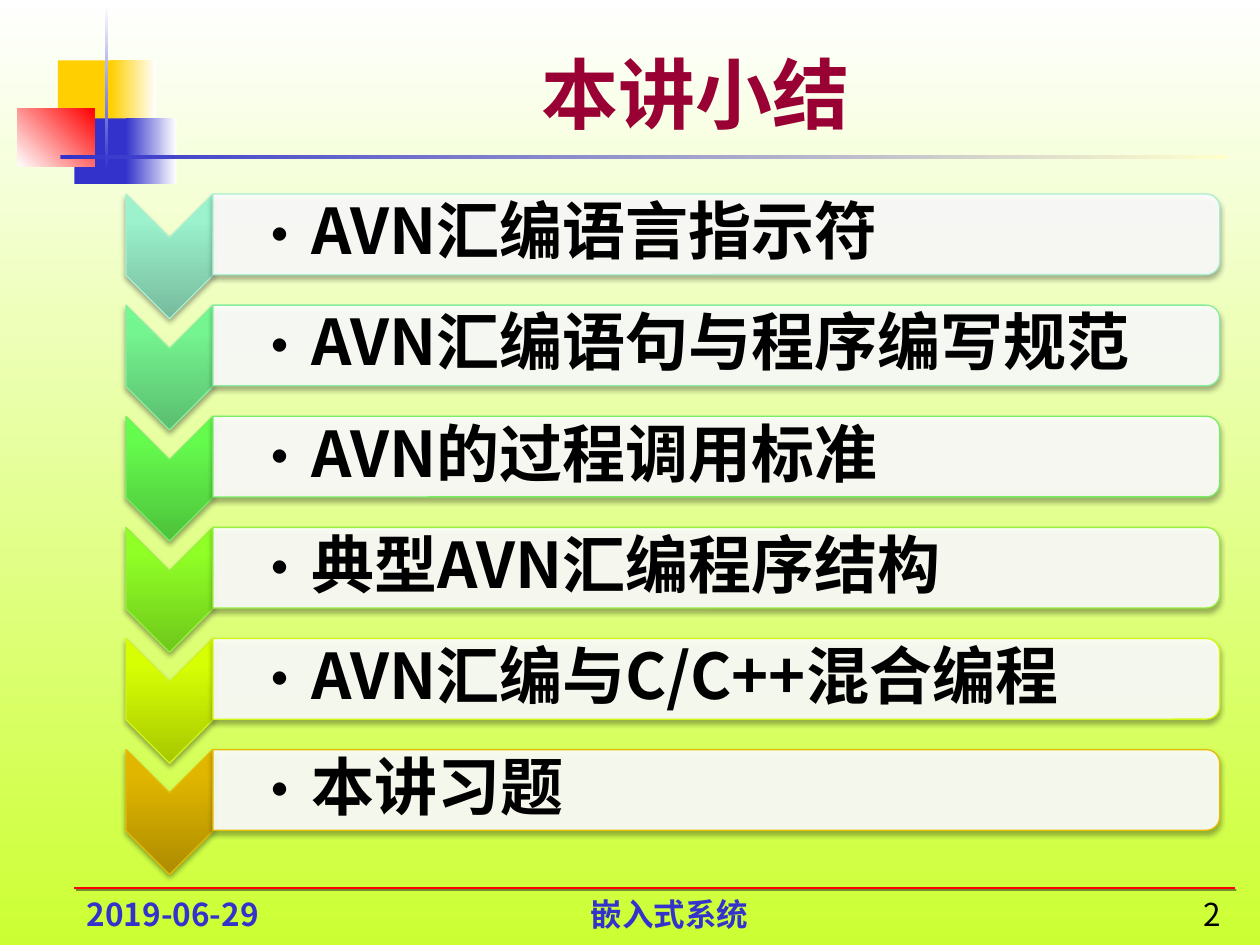
import copy

import pptx
import pptx.dml.color
import pptx.enum.shapes
import pptx.enum.text
import pptx.oxml
import pptx.oxml.ns
import pptx.util

Inches = pptx.util.Inches
Pt = pptx.util.Pt
SHAPES = pptx.enum.shapes.MSO_SHAPE
ALIGN = pptx.enum.text.PP_ALIGN
ANCHOR = pptx.enum.text.MSO_ANCHOR
FONT = "Noto Sans CJK SC"
COLORS = {
    "white": "FFFFFF", "lime": "CCFF33", "gold": "FFCF01", "blue": "3333CC",
    "red": "FF0000", "cream": "FFFFCC", "title": "990033", "black": "000000",
    "charcoal": "1C1C1C",
}
TOPICS = [
    ("AVN汇编语言指示符", ("77BA9D", "9BF2CC", "9AF4CD"), "AAEFD1"),
    ("AVN汇编语句与程序编写规范", ("5ABD6F", "75F590", "73F990"), "88EE9E"),
    ("AVN的过程调用标准", ("4DC13B", "65FB4D", "63FF4A"), "77EE64"),
    ("典型AVN汇编程序结构", ("6FC81A", "90FF26", "91FF28"), "95F13D"),
    ("AVN汇编与C/C++混合编程", ("A8C800", "D7FF04", "D7FF05"), "D2F615"),
    ("本讲习题", ("AD8C00", "E1B600", "E2B700"), "E7BB01"),
]


def rgb(value):
    """Turn a hex string into a colour."""
    return pptx.dml.color.RGBColor.from_string(value)


def element(markup):
    """Parse one drawing element, given without its namespace."""
    name, rest = markup.split(" ", 1)
    return pptx.oxml.parse_xml(f"<a:{name} {pptx.oxml.ns.nsdecls('a')} {rest}")


def paint_gradient(fill, stops, clockwise):
    """Fill with (position, hex) stops running at a clockwise angle."""
    fill.gradient()
    fill.gradient_angle = (360 - clockwise) % 360
    first = fill.gradient_stops[0]._gs
    for _ in stops[2:]:
        first.addnext(copy.deepcopy(first))
    for stop, (position, color) in zip(fill.gradient_stops, stops):
        stop.position = position
        stop.color.rgb = rgb(color)


def cast_shadow(shape, color, alpha, blur, distance, angle):
    """Give a shape or connector an outer shadow."""
    shape._element.spPr.append(element(
        f'effectLst ><a:outerShdw blurRad="{Pt(blur)}" dist="{Pt(distance)}" '
        f'dir="{angle * 60000}" algn="ctr" rotWithShape="0"><a:srgbClr val="{color}">'
        f'<a:alpha val="{alpha * 1000}"/></a:srgbClr></a:outerShdw></a:effectLst>'))


def write(frame, text, size=18, color="black", bold=True, font=FONT,
          align=None, anchor=ANCHOR.BOTTOM, bullet=False):
    """Write one formatted paragraph into a text frame and return it."""
    frame.word_wrap = True
    frame.auto_size = pptx.enum.text.MSO_AUTO_SIZE.NONE
    frame.vertical_anchor = anchor
    para = frame.paragraphs[0]
    para.alignment = align
    if bullet:
        props = para._p.get_or_add_pPr()
        props.set("marL", str(Inches(0.31)))
        props.set("indent", str(Inches(-0.31)))
        props.append(element(f'buFont typeface="{FONT}"/>'))
        props.append(element('buChar char="•"/>'))
    span = para.add_run()
    span.text = text
    span.font.size = Pt(size)
    span.font.bold = bold
    span.font.name = font
    span.font.color.rgb = rgb(COLORS[color])
    span.font._element.find(pptx.oxml.ns.qn("a:latin")).addnext(
        element(f'ea typeface="{FONT}"/>'))
    return para


def add_emblem(page, left, top):
    """Draw the overlapping squares and the crossing bars."""
    pieces = [
        (0.32, 0.44, 0.48, 0.52, "gold", None, 0),
        (0.74, 0.44, 0.36, 0.52, "gold", "white", 0),
        (0.45, 0.9, 0.46, 0.52, "blue", None, 0),
        (0.86, 0.9, 0.4, 0.52, "blue", "white", 0),
        (0, 0.82, 0.61, 0.46, "white", "red", 315),
        (0.69, 0, 0.03, 1.31, "white", "blue", 90),
        (0.34, 1.19, 9.27, 0.03, "blue", "cream", 0),
    ]
    for x, y, width, height, start, end, angle in pieces:
        piece = page.shapes.add_shape(
            SHAPES.RECTANGLE, Inches(left + x), Inches(top + y), Inches(width), Inches(height))
        piece.shadow.inherit = False
        piece.line.fill.background()
        if end:
            paint_gradient(piece.fill, [(0, COLORS[start]), (1, COLORS[end])], angle)
        else:
            piece.fill.solid()
            piece.fill.fore_color.rgb = rgb(COLORS[start])


def add_title(page, left, top, width, height):
    """Place the title in its placeholder."""
    title = page.shapes.title
    title.left, title.top = Inches(left), Inches(top)
    title.width, title.height = Inches(width), Inches(height)
    write(title.text_frame, "本讲小结", size=44, color="title", font="Montserrat",
          align=ALIGN.CENTER)


def add_footer(page, left, top, width):
    """Draw the footer rule with date, course and page number."""
    rule = page.shapes.add_connector(
        pptx.enum.shapes.MSO_CONNECTOR.STRAIGHT, Inches(left), Inches(top + 0.1),
        Inches(left + width), Inches(top + 0.1))
    rule.line.color.rgb = rgb(COLORS["red"])
    rule.line.width = Pt(1)
    cast_shadow(rule, COLORS["charcoal"], 50, 0, 1.4, 45)
    entries = [
        (0, 1.79, "2019-06-29", "blue", True, ALIGN.LEFT),
        (2.68, 4.09, "嵌入式系统", "blue", True, ALIGN.CENTER),
        (width - 0.97, 0.96, "2", "black", False, ALIGN.RIGHT),
    ]
    for x, span, text, color, bold, align in entries:
        box = page.shapes.add_textbox(
            Inches(left + x), Inches(top), Inches(span), Inches(0.5))
        write(box.text_frame, text, color=color, bold=bold, align=align)


def add_turned(group, kind, left, top, width, height, edge):
    """Add a shape turned a quarter clockwise that fills the given box."""
    shape = group.shapes.add_shape(
        kind, Inches(left + (width - height) / 2), Inches(top + (height - width) / 2),
        Inches(height), Inches(width))
    shape.rotation = 90
    shape.line.color.rgb = rgb(edge)
    shape.line.width = Pt(0.75)
    cast_shadow(shape, COLORS["black"], 35, 3.1, 1.8, 90)
    return shape


def add_topic(group, left, top, width, text, shades, edge):
    """Draw one topic row: chevron, rounded bar and bulleted text."""
    arrow_width, arrow_height, bar_height = 0.69, 0.99, 0.64
    chevron = add_turned(group, SHAPES.CHEVRON, left, top, arrow_width, arrow_height, edge)
    paint_gradient(chevron.fill, list(zip((0, 0.8, 1), shades)), 180)

    bar_left, bar_width = left + arrow_width, width - arrow_width
    bar = add_turned(group, SHAPES.ROUND_2_SAME_RECTANGLE, bar_left, top,
                     bar_width, bar_height, edge)
    bar.fill.solid()
    bar.fill.fore_color.rgb = rgb(COLORS["white"])
    bar._element.spPr.find(pptx.oxml.ns.qn("a:solidFill"))[0].append(
        element('alpha val="90000"/>'))

    box = group.shapes.add_textbox(
        Inches(bar_left), Inches(top + 0.03), Inches(bar_width - 0.03), Inches(0.58))
    frame = box.text_frame
    frame.margin_left = Inches(0.28)
    frame.margin_top = frame.margin_right = frame.margin_bottom = Inches(0.03)
    para = write(frame, text, size=36, anchor=ANCHOR.MIDDLE, bullet=True)
    para.line_spacing = 0.9
    para.space_after = Pt(5.4)


def add_topics(page, left, top, width, last_top):
    """Spread the topic rows evenly between the first and last top."""
    group = page.shapes.add_group_shape()
    pitch = (last_top - top) / (len(TOPICS) - 1)
    for index, (text, shades, edge) in enumerate(TOPICS):
        add_topic(group, left, top + index * pitch, width, text, shades, edge)


def main():
    """Build and save the summary slide."""
    deck = pptx.Presentation()
    deck.slide_width, deck.slide_height = Inches(10), Inches(7.5)
    page = deck.slides.add_slide(deck.slide_layouts[5])
    paint_gradient(page.background.fill, [(0, COLORS["white"]), (1, COLORS["lime"])], 90)
    add_emblem(page, 0.14, 0.04)
    add_title(page, 1.26, 0.23, 8.52, 0.92)
    add_footer(page, 0.59, 6.95, 9.21)
    add_topics(page, 1, 1.54, 8.68, 5.95)
    deck.save("out.pptx")


if __name__ == "__main__":
    main()
